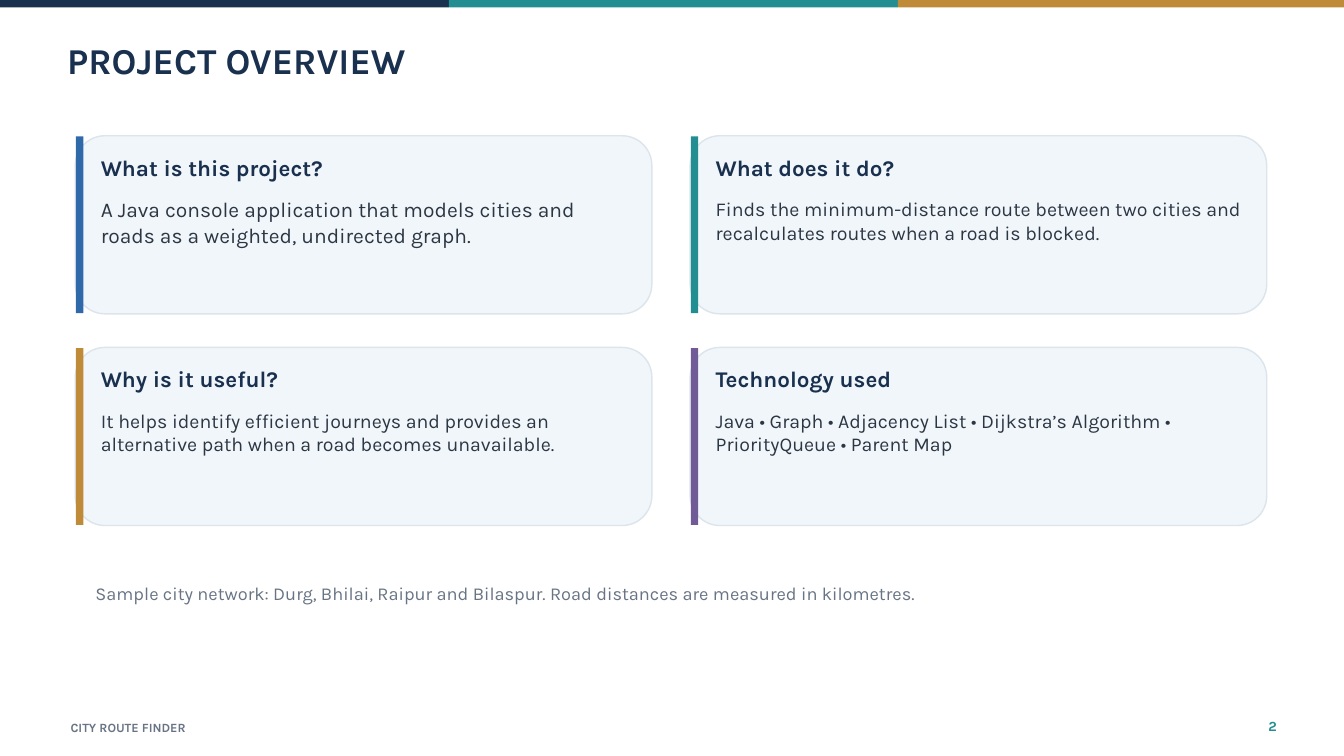
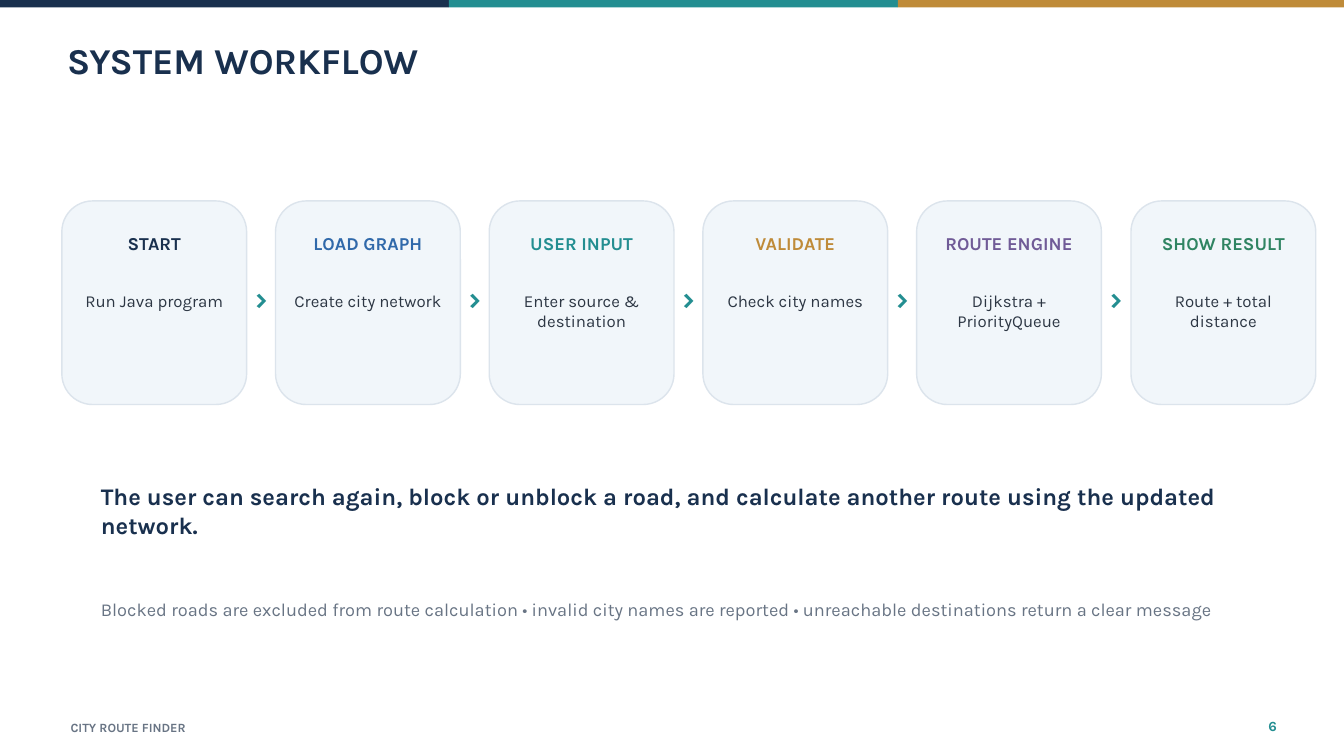
from typing import NamedTuple

from pptx import Presentation
from pptx.dml.color import RGBColor
from pptx.enum.shapes import MSO_SHAPE as Preset
from pptx.enum.text import MSO_AUTO_SIZE as AutoSize, PP_ALIGN as Align
from pptx.shapes.autoshape import Shape
from pptx.slide import Slide
from pptx.util import Pt

PX = 9144  # EMU, 100 px to the inch
SLIDE_W, SLIDE_H = 2000, 1125
FONT = "Karla"
LINE_SPACING = 1.2

COLORS = {
    "navy": "19304E",
    "teal": "238E91",
    "gold": "BF8B39",
    "blue": "3069AA",
    "purple": "705B97",
    "green": "2F8462",
    "body": "2D3744",
    "muted": "687484",
    "panel": "F1F6FA",
    "border": "DCE4EC",
}


class Box(NamedTuple):
    left: int
    top: int
    width: int
    height: int

    def emu(self) -> list[int]:
        return [length * PX for length in self]


class Style(NamedTuple):
    size: float
    color: str
    bold: bool = False
    align: Align = Align.LEFT


class Topic(NamedTuple):
    heading: str
    body: str
    accent: str
    body_size: float = 21


class Step(NamedTuple):
    name: str
    action: str
    color: str


TITLE = Style(39, "navy", True)
FOOTER = Style(13.5, "muted", True)
PAGE_NUMBER = Style(15, "teal", True, Align.RIGHT)
TOPIC_HEADING = Style(24, "navy", True)
STEP_ACTION = Style(18, "body", align=Align.CENTER)
CHEVRON = Style(36, "teal", True, Align.CENTER)
CALLOUT = Style(25.5, "navy", True)
NOTE = Style(19.5, "muted")

BAND_COLORS = ("navy", "teal", "gold")
BAND_W, BAND_H = 668, 11

TOPICS = [
    Topic("What is this project?",
          "A Java console application that models cities and roads as a "
          "weighted, undirected graph.", "blue", 22.5),
    Topic("What does it do?",
          "Finds the minimum-distance route between two cities and "
          "recalculates routes when a road is blocked.", "teal"),
    Topic("Why is it useful?",
          "It helps identify efficient journeys and provides an alternative "
          "path when a road becomes unavailable.", "gold"),
    Topic("Technology used",
          "Java • Graph • Adjacency List • Dijkstra’s Algorithm • "
          "PriorityQueue • Parent Map", "purple"),
]
TOPIC_LEFT, TOPIC_TOP = 112, 202
TOPIC_W, TOPIC_H = 858, 265
TOPIC_COLUMN_STEP, TOPIC_ROW_STEP = 915, 315

STEPS = [
    Step("START", "Run Java program", "navy"),
    Step("LOAD GRAPH", "Create city network", "blue"),
    Step("USER INPUT", "Enter source & destination", "teal"),
    Step("VALIDATE", "Check city names", "gold"),
    Step("ROUTE ENGINE", "Dijkstra + PriorityQueue", "purple"),
    Step("SHOW RESULT", "Route + total distance", "green"),
]
FIRST_STEP_LEFT, LAST_STEP_LEFT = 92, 1683
STEP_TOP, STEP_W, STEP_H = 299, 275, 303


def rgb(color: str) -> RGBColor:
    return RGBColor.from_string(COLORS[color])


def add_block(slide: Slide, preset: Preset, box: Box, color: str) -> Shape:
    block = slide.shapes.add_shape(preset, *box.emu())
    block.shadow.inherit = False
    block.fill.solid()
    block.fill.fore_color.rgb = rgb(color)
    block.line.fill.background()
    return block


def add_panel(slide: Slide, box: Box) -> None:
    panel = add_block(slide, Preset.ROUNDED_RECTANGLE, box, "panel")
    panel.line.color.rgb = rgb("border")
    panel.line.width = Pt(1.5)


def add_text(slide: Slide, box: Box, text: str, style: Style) -> None:
    frame = slide.shapes.add_textbox(*box.emu()).text_frame
    frame_format = {
        "margin_left": 0, "margin_top": 0, "margin_right": 0,
        "margin_bottom": 0, "word_wrap": True,
        "auto_size": AutoSize.SHAPE_TO_FIT_TEXT,
    }
    for name, value in frame_format.items():
        setattr(frame, name, value)
    paragraph = frame.paragraphs[0]
    paragraph.alignment = style.align
    paragraph.line_spacing = Pt(style.size * LINE_SPACING)
    run = paragraph.add_run()
    run.text = text
    font_format = {"name": FONT, "size": Pt(style.size), "bold": style.bold}
    for name, value in font_format.items():
        setattr(run.font, name, value)
    run.font.color.rgb = rgb(style.color)


def add_framed_slide(prs: Presentation, title: str, number: int) -> Slide:
    """Add a blank slide with the top band, title, footer and page number."""
    slide = prs.slides.add_slide(prs.slide_layouts[6])
    for i, color in enumerate(BAND_COLORS):
        left = i * BAND_W
        band = Box(left, 0, min(BAND_W, SLIDE_W - left), BAND_H)
        add_block(slide, Preset.RECTANGLE, band, color)
    add_text(slide, Box(100, 57, 1772, 76), title, TITLE)
    add_text(slide, Box(105, 1072, 1187, 24), "CITY ROUTE FINDER", FOOTER)
    add_text(slide, Box(1846, 1067, 54, 31), str(number), PAGE_NUMBER)
    return slide


def add_topic(slide: Slide, left: int, top: int, topic: Topic) -> None:
    add_panel(slide, Box(left, top, TOPIC_W, TOPIC_H))
    accent = Box(left + 1, top + 1, 11, TOPIC_H - 2)
    add_block(slide, Preset.RECTANGLE, accent, topic.accent)
    add_text(slide, Box(left + 38, top + 27, 789, 46), topic.heading,
             TOPIC_HEADING)
    add_text(slide, Box(left + 38, top + 91, 785, 155), topic.body,
             Style(topic.body_size, "body"))


def add_step(slide: Slide, left: int, step: Step) -> None:
    add_panel(slide, Box(left, STEP_TOP, STEP_W, STEP_H))
    add_text(slide, Box(left + 20, STEP_TOP + 47, 235, 50), step.name,
             Style(19.5, step.color, True, Align.CENTER))
    add_text(slide, Box(left + 23, STEP_TOP + 133, 229, 121), step.action,
             STEP_ACTION)


def build_overview(prs: Presentation) -> None:
    slide = add_framed_slide(prs, "PROJECT OVERVIEW", 2)
    for i, topic in enumerate(TOPICS):
        row, column = divmod(i, 2)
        add_topic(slide, TOPIC_LEFT + column * TOPIC_COLUMN_STEP,
                  TOPIC_TOP + row * TOPIC_ROW_STEP, topic)
    add_text(slide, Box(142, 867, 1697, 61),
             "Sample city network: Durg, Bhilai, Raipur and Bilaspur. "
             "Road distances are measured in kilometres.", NOTE)


def build_workflow(prs: Presentation) -> None:
    slide = add_framed_slide(prs, "SYSTEM WORKFLOW", 6)
    last = len(STEPS) - 1
    for i, step in enumerate(STEPS):
        left = FIRST_STEP_LEFT + (LAST_STEP_LEFT - FIRST_STEP_LEFT) * i // last
        add_step(slide, left, step)
        if i < last:
            add_text(slide, Box(left + STEP_W + 8, STEP_TOP + 113, 28, 61),
                     "›", CHEVRON)
    add_text(slide, Box(150, 717, 1682, 121),
             "The user can search again, block or unblock a road, and "
             "calculate another route using the updated network.", CALLOUT)
    add_text(slide, Box(150, 890, 1697, 76),
             "Blocked roads are excluded from route calculation • invalid "
             "city names are reported • unreachable destinations return a "
             "clear message", NOTE)


def main() -> None:
    prs = Presentation()
    prs.slide_width, prs.slide_height = SLIDE_W * PX, SLIDE_H * PX
    build_overview(prs)
    build_workflow(prs)
    prs.save("out.pptx")


if __name__ == "__main__":
    main()
